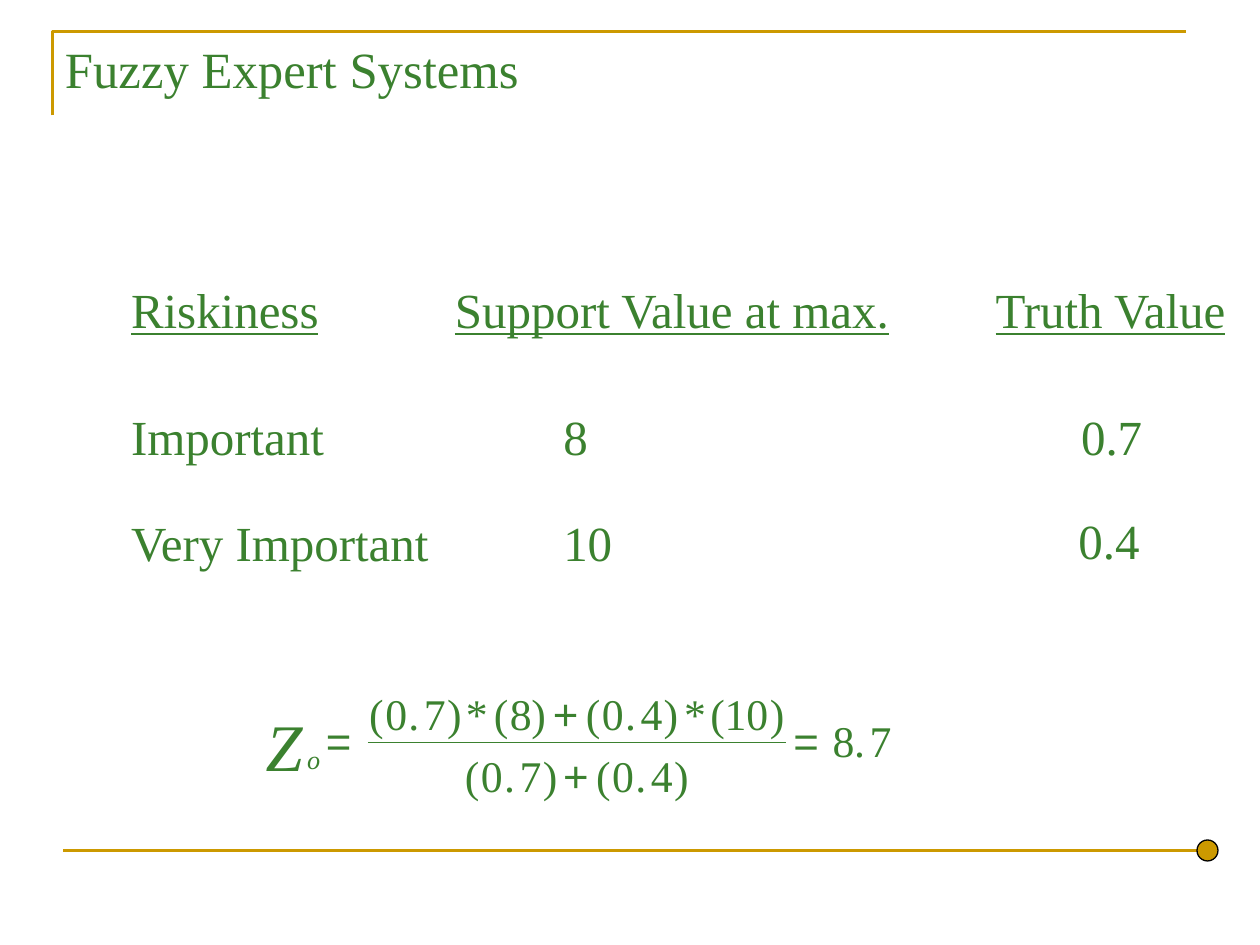
"""Build the fuzzy expert systems slide with its risk table and weighted average."""
from lxml import etree
from pptx import Presentation
from pptx.dml.color import RGBColor
from pptx.enum.shapes import MSO_CONNECTOR, MSO_SHAPE
from pptx.enum.text import MSO_ANCHOR, MSO_AUTO_SIZE, PP_ALIGN
from pptx.oxml.ns import qn
from pptx.util import Pt

STRAIGHT, OVAL = MSO_CONNECTOR.STRAIGHT, MSO_SHAPE.OVAL
MIDDLE = MSO_ANCHOR.MIDDLE
FIT, FIXED = MSO_AUTO_SIZE.SHAPE_TO_FIT_TEXT, MSO_AUTO_SIZE.NONE
LEFT, RIGHT = PP_ALIGN.LEFT, PP_ALIGN.RIGHT

COLORS = {"green": "3B812F", "gold": "CC9900", "black": "000000"}
SERIF, SANS = "Times New Roman", "Arial"

TITLE = "Fuzzy Expert Systems"
HEADINGS = [("Riskiness", 67.8, 121.7), ("Support Value at max.", 252.9, 265.7),
            ("Truth Value", 561.9, 150.5)]
HEADING_TOP = 156.2
RISKS = [
    (229, "Important", 124.6, "8", 28.1),
    (289.4, "Very Important", 187.2, "10", 42.5),
]
RISK_LEFT, SUPPORT_LEFT = 67.8, 314.8
TRUTHS = [("0.7", 229, 561.9, 97.9), ("0.4", 288, 587.7, 70.6)]
TABLE_SIZE, TABLE_HEIGHT = 28, 40.3

NUMERATOR, MIDLINE, DENOMINATOR = 388.8, 404.6, 424.1
TERMS = [
    (NUMERATOR, [("( 0 . 7 )", 203.9), ("*", 259.2), ("( 8 )", 275.1), ("( 0 . 4 )", 327.7),
                 ("*", 383.8), ("(", 398.9), ("10 )", 406.9)]),
    (DENOMINATOR, [("( 0 . 7 )", 258.6), ("( 0 . 4 )", 333.6)]),
    (MIDLINE, [("8 . 7", 468.7)]),
]
OPERATORS = [("=", 179.2, MIDLINE, 33.8), ("+", 308.9, NUMERATOR, 28.8),
             ("+", 314.7, DENOMINATOR, 28.8), ("=", 446.3, MIDLINE, 33.8)]
SYMBOLS = [("o", 168.5, 421.2, 21.6, 25.2, 15), ("Z", 144.7, 399.6, 35.3, 52.6, 38)]
ADVANCES = {"(": 9.2, ".": 8.9, "8": 12.3, "10": 25.9}
WIDTHS = {"(": 22.3, ")": 22.3, ".": 20.9, "10": 39.6}
DIGIT_ADVANCE, DIGIT_WIDTH = 13.2, 26.6
FORMULA_SIZE, FORMULA_HEIGHT = 25, 36.7


def rgb(name):
    return RGBColor.from_string(COLORS[name])


def write(slide, text, left, top, width, height, size, font=SERIF, align=LEFT,
          underline=False, italic=False):
    box = slide.shapes.add_textbox(Pt(left), Pt(top), Pt(width), Pt(height))
    frame = box.text_frame
    frame.word_wrap = False
    frame.auto_size = FIT
    paragraph = frame.paragraphs[0]
    paragraph.text = text
    paragraph.alignment = align
    paragraph.font.name = font
    paragraph.font.size = Pt(size)
    paragraph.font.underline = underline
    paragraph.font.italic = italic
    paragraph.font.color.rgb = rgb("green")
    return frame


def rule(slide, left, right, y, color, weight):
    line = slide.shapes.add_connector(STRAIGHT, Pt(left), Pt(y), Pt(right), Pt(y))
    line.line.color.rgb = rgb(color)
    line.line.width = Pt(weight)
    etree.SubElement(line._element.spPr, qn("a:effectLst"))


def add_frame(slide):
    builder = slide.shapes.build_freeform(Pt(30), Pt(66))
    builder.add_line_segments([(Pt(30), Pt(18)), (Pt(678), Pt(18))], close=False)
    corner = builder.convert_to_shape()
    corner.shadow.inherit = False
    corner.fill.background()
    corner.line.color.rgb = rgb("gold")
    corner.line.width = Pt(1.5)
    rule(slide, 36, 684, 486, "gold", 1.5)


def add_risks(slide):
    for heading, left, width in HEADINGS:
        write(slide, heading, left, HEADING_TOP, width, TABLE_HEIGHT, TABLE_SIZE,
              underline=True)
    for (top, risk, risk_width, support, support_width), truth in zip(RISKS, TRUTHS):
        write(slide, risk, RISK_LEFT, top, risk_width, TABLE_HEIGHT, TABLE_SIZE)
        write(slide, support, SUPPORT_LEFT, top, support_width, TABLE_HEIGHT, TABLE_SIZE)
        value, truth_top, left, width = truth
        write(slide, value, left, truth_top, width, TABLE_HEIGHT, TABLE_SIZE, align=RIGHT)


def place_glyphs():
    for top, terms in TERMS:
        for term, left in terms:
            for glyph in term.split():
                yield glyph, left, top, WIDTHS.get(glyph, DIGIT_WIDTH)
                left += ADVANCES.get(glyph, DIGIT_ADVANCE)


def add_formula(slide):
    rule(slide, 210.2, 449.4, 424.3, "green", 1)
    for symbol, left, top, width, height, size in SYMBOLS:
        write(slide, symbol, left, top, width, height, size, italic=True)
    for operator, left, top, width in OPERATORS:
        write(slide, operator, left, top, width, FORMULA_HEIGHT, FORMULA_SIZE, SANS)
    punctuation_first = sorted(place_glyphs(), key=lambda placed: placed[0].isdigit())
    for glyph, left, top, width in punctuation_first:
        write(slide, glyph, left, top, width, FORMULA_HEIGHT, FORMULA_SIZE)


def add_dot(slide):
    dot = slide.shapes.add_shape(OVAL, Pt(684), Pt(480), Pt(12), Pt(12))
    dot.shadow.inherit = False
    dot.fill.solid()
    dot.fill.fore_color.rgb = rgb("gold")
    dot.line.color.rgb = rgb("black")
    dot.line.width = Pt(0.75)


def add_title(slide):
    title = write(slide, TITLE, 30, 18, 610, 42, 29)
    title.auto_size = FIXED
    title.word_wrap = True
    title.vertical_anchor = MIDDLE


def main():
    deck = Presentation()
    deck.slide_width, deck.slide_height = Pt(720), Pt(540)
    slide = deck.slides.add_slide(deck.slide_layouts[6])
    for add_part in (add_frame, add_risks, add_formula, add_dot, add_title):
        add_part(slide)
    deck.save("out.pptx")


if __name__ == "__main__":
    main()
